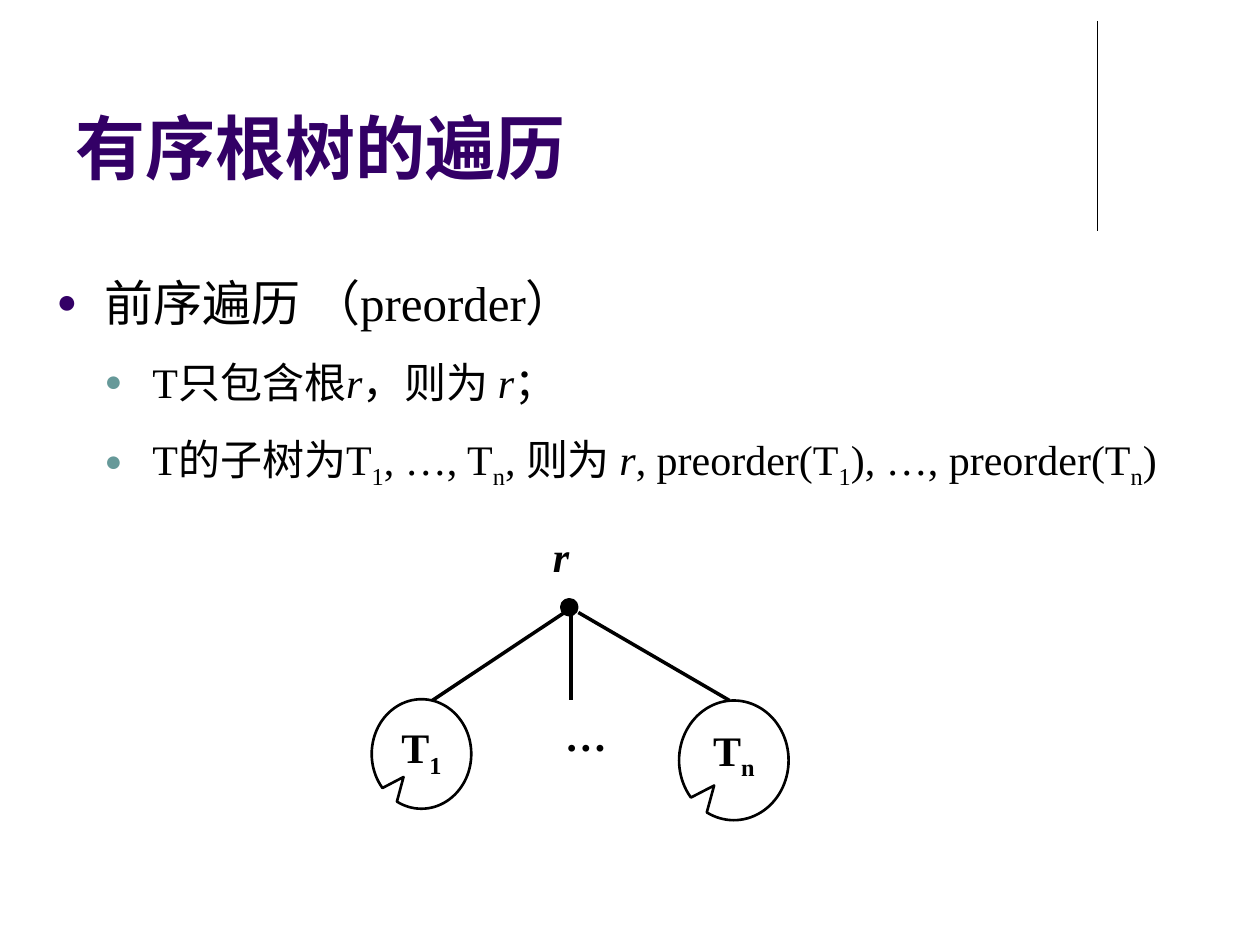
from lxml.etree import SubElement
from pptx import Presentation
from pptx.dml.color import RGBColor
from pptx.enum.shapes import MSO_CONNECTOR, MSO_SHAPE
from pptx.enum.text import MSO_ANCHOR, MSO_AUTO_SIZE, PP_ALIGN
from pptx.oxml.ns import qn
from pptx.util import Pt

COLORS = {"ink": "000000", "title": "330066", "sub": "669999"}
FONT = "Times New Roman"


def color(name):
    return RGBColor.from_string(COLORS[name])


def write(para, text, size=24, tint="ink", bold=False, italic=False, align=None):
    para.alignment = align
    for part in text.split("|"):
        run = para.add_run()
        run.text = part.lstrip("_/")
        font = run.font
        font.name, font.size, font.bold = FONT, Pt(size), bold
        font.italic = italic or part.startswith("/")
        font.color.rgb = color(tint)
        if part.startswith("_"):
            run._r.get_or_add_rPr().set("baseline", "-25000")


def bullet(para, level, tint):
    props = para._p.get_or_add_pPr()
    props.set("marL", str(Pt(27.36 * (level + 1))))
    props.set("indent", str(-Pt(27.36)))
    shade = SubElement(props, qn("a:buClr"))
    SubElement(shade, qn("a:srgbClr")).set("val", COLORS[tint])
    SubElement(props, qn("a:buSzPct")).set("val", "70000")
    SubElement(props, qn("a:buFont")).set("typeface", FONT)
    SubElement(props, qn("a:buChar")).set("char", "●")


class Deck:
    def __init__(self):
        self.show = Presentation()
        self.show.slide_width, self.show.slide_height = Pt(720), Pt(540)
        self.slide = self.show.slides.add_slide(self.show.slide_layouts[1])
        self.shapes = self.slide.shapes

    def place(self, holder, box):
        holder.left, holder.top, holder.width, holder.height = map(Pt, box)
        frame = holder.text_frame
        frame.word_wrap = True
        frame.auto_size = MSO_AUTO_SIZE.NONE
        return frame

    def title(self, text, box):
        frame = self.place(self.shapes.title, box)
        frame.vertical_anchor = MSO_ANCHOR.BOTTOM
        write(frame.paragraphs[0], text, size=40, tint="title", bold=True,
              align=PP_ALIGN.LEFT)

    def body(self, items, box):
        frame = self.place(self.slide.placeholders[1], box)
        frame.vertical_anchor = MSO_ANCHOR.TOP
        for index, (level, text) in enumerate(items):
            para = frame.add_paragraph() if index else frame.paragraphs[0]
            para.level = level
            para.line_spacing = 1.2
            para.space_before = Pt(8.6 if index else 0)
            bullet(para, level, "sub" if level else "title")
            write(para, text, size=24 if level else 28)

    def line(self, start, end, width=2):
        edge = self.shapes.add_connector(
            MSO_CONNECTOR.STRAIGHT, *map(Pt, start + end))
        edge.line.color.rgb = color("ink")
        edge.line.width = Pt(width)
        SubElement(edge._element.spPr, qn("a:effectLst"))

    def label(self, text, box):
        area = self.shapes.add_textbox(*map(Pt, box))
        area.text_frame.word_wrap = True
        write(area.text_frame.paragraphs[0], text, bold=True, italic=True,
              align=PP_ALIGN.JUSTIFY)

    def dot(self, box):
        node = self.shapes.add_shape(MSO_SHAPE.OVAL, *map(Pt, box))
        node.shadow.inherit = False
        node.fill.solid()
        node.fill.fore_color.rgb = color("ink")
        node.line.color.rgb = color("ink")
        node.line.width = Pt(2)

    def tree(self, text, box, width=1.5):
        node = self.shapes.add_shape(MSO_SHAPE.OVAL_CALLOUT, *map(Pt, box))
        node.shadow.inherit = False
        node.adjustments[0], node.adjustments[1] = -0.18, 0.21
        node.fill.background()
        if width:
            node.line.color.rgb = color("ink")
            node.line.width = Pt(width)
        else:
            node.line.fill.background()
        frame = node.text_frame
        frame.word_wrap = False
        frame.vertical_anchor = MSO_ANCHOR.TOP
        write(frame.paragraphs[0], text, bold=True, align=PP_ALIGN.CENTER)


def main():
    deck = Deck()
    deck.line((627, 12), (627, 132), width=0.75)
    deck.title("有序根树的遍历", (36, 43.2, 594, 68.4))
    deck.body([
        (0, "前序遍历 （preorder）"),
        (1, "T只包含根|/r|，则为 |/r|；"),
        (1, "T的子树为T|_1|, …, T|_n|, 则为 |/r|, preorder(T|_1|), …, preorder(T|_n|)"),
    ], (25.2, 145.4, 674.6, 164.2))
    deck.dot((321, 342.7, 8.6, 8.6))
    for start, end in [
        ((322.6, 350), (247, 400.3)),
        ((330.5, 350), (416.9, 400.3)),
        ((326.2, 343.4), (326.2, 400.3)),
    ]:
        deck.line(start, end)
    deck.label("r", (308.9, 299.5, 42.5, 36.7))
    deck.tree("T|_1", (212.4, 399.6, 56.9, 62.6))
    deck.tree("T|_n", (388.1, 400.3, 62.6, 68.4))
    deck.tree("…", (292.3, 394.6, 85, 51.1), width=0)
    deck.show.save("out.pptx")


if __name__ == "__main__":
    main()
